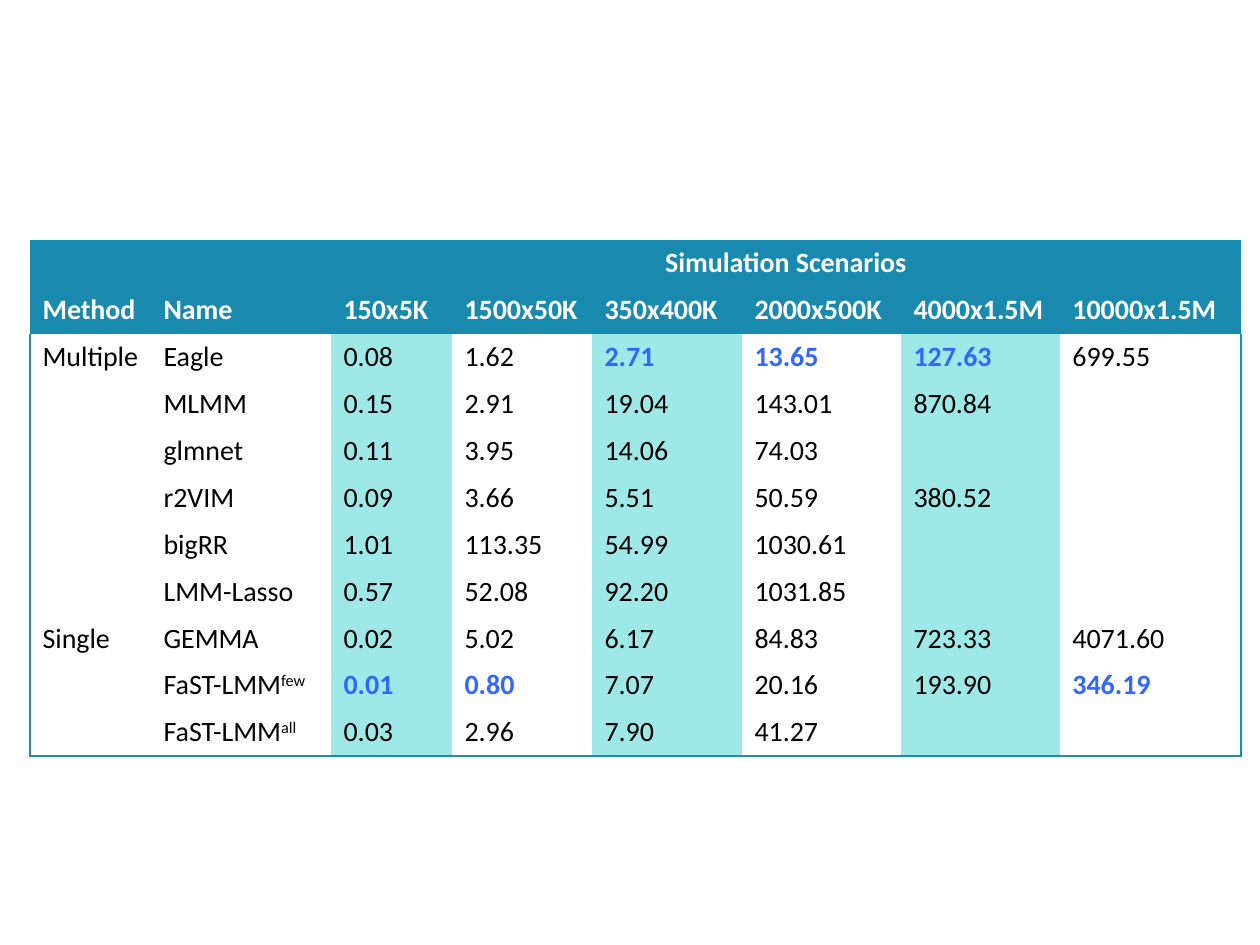
from dataclasses import dataclass

from lxml import etree
from pptx import Presentation
from pptx.dml.color import RGBColor
from pptx.enum.text import PP_ALIGN
from pptx.oxml.ns import qn
from pptx.table import Table, _Cell
from pptx.util import Emu, Pt

CENTER = PP_ALIGN.CENTER
LEFT = PP_ALIGN.LEFT
PX = 914400 // 126
FONT, SIZE = "Calibri", 16
PLAIN_STYLE = "{2D5ABB26-0587-4C30-8999-92F81FD0307C}"
COLORS = {
    "header": "198AAE",
    "border": "208BAC",
    "stripe": "9EE9E8",
    "white": "FFFFFF",
    "text": "000000",
    "best": "3366FF",
}
TABLE_LEFT, TABLE_TOP, ROW_HEIGHT = 30, 240, 37
COLUMN_WIDTHS = (121, 180, 121, 140, 150, 159, 159, 181)
STRIPED_COLUMNS = (2, 4, 6)
HEADINGS = ("Method", "Name", "150x5K", "1500x50K", "350x400K",
            "2000x500K", "4000x1.5M", "10000x1.5M")


@dataclass(frozen=True)
class Method:
    """A method with its times and the columns where it is best."""
    group: str
    name: str
    times: tuple[str, ...]
    best: tuple[int, ...] = ()
    superscript: str = ""


METHODS = (
    Method("Multiple", "Eagle", ("0.08", "1.62", "2.71", "13.65", "127.63", "699.55"), (4, 5, 6)),
    Method("", "MLMM", ("0.15", "2.91", "19.04", "143.01", "870.84", "")),
    Method("", "glmnet", ("0.11", "3.95", "14.06", "74.03", "", "")),
    Method("", "r2VIM", ("0.09", "3.66", "5.51", "50.59", "380.52", "")),
    Method("", "bigRR", ("1.01", "113.35", "54.99", "1030.61", "", "")),
    Method("", "LMM-Lasso", ("0.57", "52.08", "92.20", "1031.85", "", "")),
    Method("Single", "GEMMA", ("0.02", "5.02", "6.17", "84.83", "723.33", "4071.60")),
    Method("", "FaST-LMM", ("0.01", "0.80", "7.07", "20.16", "193.90", "346.19"), (2, 3, 7), "few"),
    Method("", "FaST-LMM", ("0.03", "2.96", "7.90", "41.27", "", ""), (), "all"),
)


def px(length: int) -> Emu:
    """Turn pixels into EMU."""
    return Emu(length * PX)


def fill_cell(cell: _Cell, color: str) -> None:
    """Give a cell a solid fill."""
    cell.fill.solid()
    cell.fill.fore_color.rgb = RGBColor.from_string(COLORS[color])


def write_cell(cell: _Cell, text: str, color: str, bold: bool = False,
               align: PP_ALIGN = LEFT, superscript: str = "") -> None:
    """Write one paragraph, or size the empty one, in a cell."""
    para = cell.text_frame.paragraphs[0]
    para.alignment = align
    para.font.name = FONT
    para.font.size = Pt(SIZE)
    para.font.bold = bold
    para.font.color.rgb = RGBColor.from_string(COLORS[color])
    if not text:
        etree.SubElement(para._p, qn("a:endParaRPr"), sz=str(SIZE * 100))
        return
    para.add_run().text = text
    if superscript:
        span = para.add_run()
        span.text = superscript
        span._r.get_or_add_rPr().set("baseline", "30000")


def add_borders(cell: _Cell, sides: str) -> None:
    """Draw borders on the sides named by letters in L, R, T, B order."""
    properties = cell._tc.get_or_add_tcPr()
    for side in sides:
        line = etree.SubElement(properties, qn(f"a:ln{side}"), w=str(Pt(1.5)))
        solid = etree.SubElement(line, qn("a:solidFill"))
        etree.SubElement(solid, qn("a:srgbClr"), val=COLORS["border"])


def draw_header(table: Table) -> None:
    """Fill the two heading rows."""
    last = len(HEADINGS) - 1
    table.cell(0, 2).merge(table.cell(0, last))
    for column, heading in enumerate(HEADINGS):
        title = "Simulation Scenarios" if column == 2 else ""
        for row, text, align in ((0, title, CENTER), (1, heading, LEFT)):
            cell = table.cell(row, column)
            fill_cell(cell, "header")
            write_cell(cell, text, "white", True, align)


def draw_method(table: Table, row: int, method: Method) -> None:
    """Fill one method row and its part of the outer border."""
    last_column = len(HEADINGS) - 1
    bottom = "B" if row == len(table.rows) - 1 else ""
    for column, text in enumerate((method.group, method.name, *method.times)):
        cell = table.cell(row, column)
        add_borders(cell, {0: "L", last_column: "R"}.get(column, "") + bottom)
        fill_cell(cell, "stripe" if column in STRIPED_COLUMNS else "white")
        best = column in method.best
        write_cell(cell, text, "best" if best else "text", best,
                   superscript=method.superscript if column == 1 else "")


def main() -> None:
    """Build and save the slide."""
    deck = Presentation()
    deck.slide_width, deck.slide_height = px(1260), px(945)
    page = deck.slides.add_slide(deck.slide_layouts[6])
    row_count = len(METHODS) + 2
    table = page.shapes.add_table(
        row_count, len(HEADINGS), px(TABLE_LEFT), px(TABLE_TOP),
        px(sum(COLUMN_WIDTHS)), px(ROW_HEIGHT * row_count)).table
    table.horz_banding = False
    table._tbl.tblPr.find(qn("a:tableStyleId")).text = PLAIN_STYLE
    for column, width in zip(table.columns, COLUMN_WIDTHS):
        column.width = px(width)
    for row in table.rows:
        row.height = px(ROW_HEIGHT)
    draw_header(table)
    for row, method in enumerate(METHODS, start=2):
        draw_method(table, row, method)
    deck.save("out.pptx")


if __name__ == "__main__":
    main()
